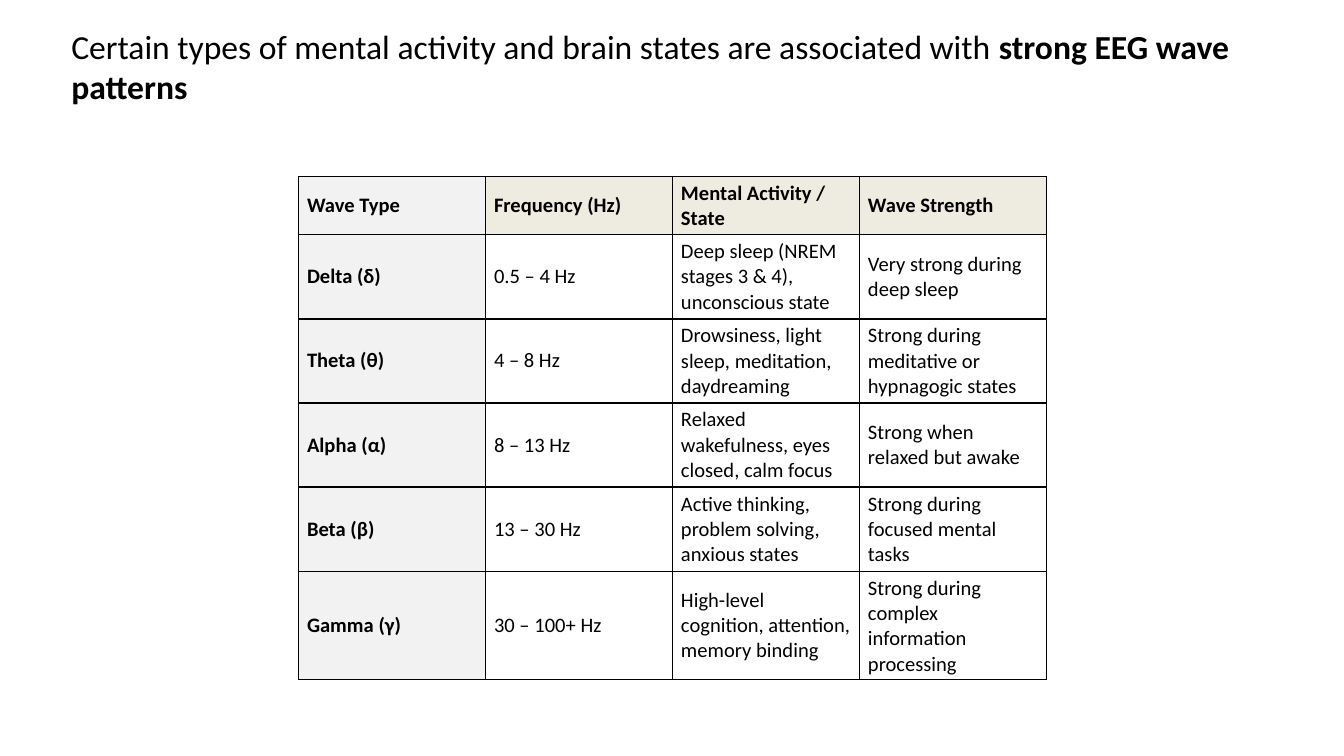
from lxml.etree import SubElement
from pptx import Presentation
from pptx.dml.color import RGBColor
from pptx.enum.text import MSO_ANCHOR, MSO_AUTO_SIZE, PP_ALIGN
from pptx.oxml.ns import qn
from pptx.util import Pt

BLACK = RGBColor(0x00, 0x00, 0x00)
GREY = RGBColor(0xF2, 0xF2, 0xF2)
CREAM = RGBColor(0xEE, 0xEC, 0xE1)
FONT = "Calibri"

WAVES = [
    ("Wave Type", "Frequency (Hz)", "Mental Activity / State", "Wave Strength"),
    ("Delta (δ)", "0.5 – 4 Hz", "Deep sleep (NREM stages 3 & 4), unconscious state",
     "Very strong during deep sleep"),
    ("Theta (θ)", "4 – 8 Hz", "Drowsiness, light sleep, meditation, daydreaming",
     "Strong during meditative or hypnagogic states"),
    ("Alpha (α)", "8 – 13 Hz", "Relaxed wakefulness, eyes closed, calm focus",
     "Strong when relaxed but awake"),
    ("Beta (β)", "13 – 30 Hz", "Active thinking, problem solving, anxious states",
     "Strong during focused mental tasks"),
    ("Gamma (γ)", "30 – 100+ Hz", "High-level cognition, attention, memory binding",
     "Strong during complex information processing"),
]
ROW_HEIGHTS = [31.2, 45.1, 45.1, 45.1, 45.1, 58]


def set_font(para, size, bold=None):
    para.font.name = FONT
    para.font.size = Pt(size)
    para.font.bold = bold
    para.font.color.rgb = BLACK


def add_heading(page, left, top, width, height):
    title = page.shapes.title
    title.left, title.top, title.width, title.height = map(Pt, (left, top, width, height))
    frame = title.text_frame
    frame.word_wrap = True
    frame.auto_size = MSO_AUTO_SIZE.SHAPE_TO_FIT_TEXT
    frame.vertical_anchor = MSO_ANCHOR.TOP
    para = frame.paragraphs[0]
    para.alignment = PP_ALIGN.LEFT
    set_font(para, 18)
    para.add_run().text = ("Certain types of mental activity and brain states "
                           "are associated with ")
    span = para.add_run()
    span.text = "strong EEG wave patterns"
    span.font.bold = True


def add_borders(cell):
    properties = cell._tc.get_or_add_tcPr()
    for side in ("a:lnL", "a:lnR", "a:lnT", "a:lnB"):
        line = SubElement(properties, qn(side), w=str(Pt(1)))
        fill = SubElement(line, qn("a:solidFill"))
        SubElement(fill, qn("a:srgbClr"), val=str(BLACK))


def format_cell(cell, text, fill_colour, bold):
    add_borders(cell)
    if fill_colour is None:
        cell.fill.background()
    else:
        cell.fill.solid()
        cell.fill.fore_color.rgb = fill_colour
    cell.vertical_anchor = MSO_ANCHOR.MIDDLE
    cell.margin_left = cell.margin_right = Pt(4.5)
    cell.margin_top = cell.margin_bottom = Pt(2.25)
    cell.text = text
    set_font(cell.text_frame.paragraphs[0], 11, bold)


def add_wave_table(page, left, top, width, height):
    table = page.shapes.add_table(len(WAVES), len(WAVES[0]), Pt(left), Pt(top),
                                  Pt(width), Pt(height)).table
    table.first_row = table.horz_banding = False
    for column in table.columns:
        column.width = Pt(width / len(WAVES[0]))
    for row, row_height in zip(table.rows, ROW_HEIGHTS):
        row.height = Pt(row_height)

    # First column is grey, the rest of the header row is cream
    for row_index, texts in enumerate(WAVES):
        for column_index, text in enumerate(texts):
            is_label = row_index == 0 or column_index == 0
            fill_colour = GREY if column_index == 0 else CREAM if is_label else None
            format_cell(table.cell(row_index, column_index), text, fill_colour, is_label)


def main():
    deck = Presentation()
    deck.slide_width, deck.slide_height = Pt(720), Pt(405)
    page = deck.slides.add_slide(deck.slide_layouts[5])
    add_wave_table(page, 160, 94.5, 400.8, sum(ROW_HEIGHTS))
    add_heading(page, 31, 10.2, 657.5, 51)
    deck.save("out.pptx")


if __name__ == "__main__":
    main()
